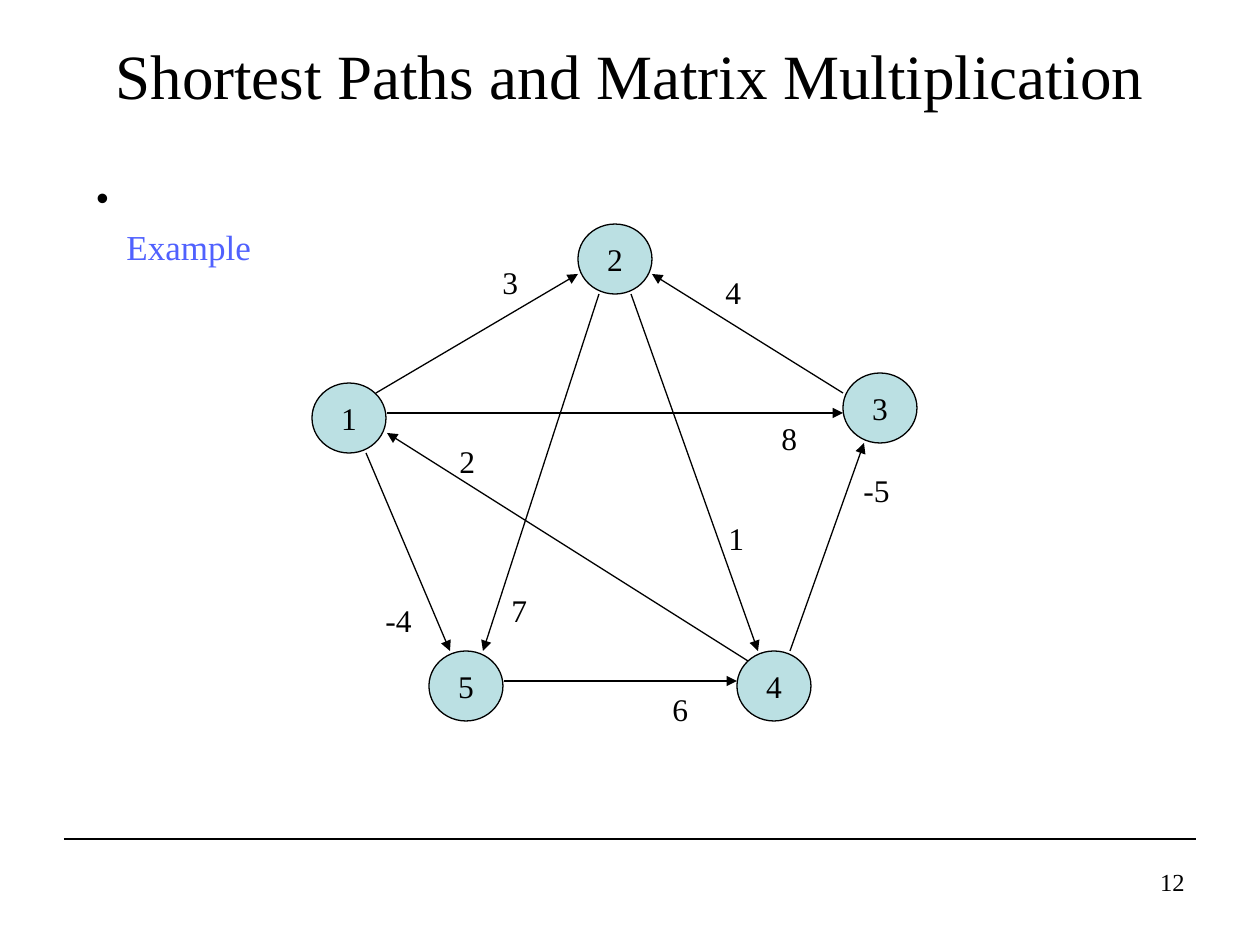
from pptx import Presentation, util as u
from pptx.dml.color import RGBColor
from pptx.enum import shapes, text
from pptx.oxml.ns import qn
from lxml import etree

SCALE = 914400 / 126
FONT = "Times New Roman"
BLACK = "000000"

NODES = {"1": (312, 383), "2": (578, 224), "3": (843, 373),
         "4": (737, 651), "5": (429, 651)}
EDGES = [(376, 393, 578, 274), (843, 393, 652, 274), (790, 651, 864, 443),
         (504, 681, 737, 681), (366, 453, 450, 651), (599, 294, 483, 651),
         (631, 294, 758, 651), (748, 661, 387, 433), (387, 413, 843, 413)]
COSTS = [("2", 447, 436), ("1", 716, 513), ("4", 713, 267),
         ("3", 490, 257), ("8", 769, 413), ("-5", 851, 465),
         ("-4", 373, 595), ("6", 660, 684), ("7", 499, 585)]


def px(*nums):
    return [u.Emu(round(n * SCALE)) for n in nums]


def tint(code):
    return RGBColor.from_string(code)


def style(para, size, hue=BLACK, align=text.PP_ALIGN.LEFT):
    para.alignment = align
    para.font.size = u.Pt(size)
    para.font.name = FONT
    para.font.color.rgb = tint(hue)


def label(slide, words, box, size, hue=BLACK, align=text.PP_ALIGN.LEFT,
          wrap=False, anchor=text.MSO_ANCHOR.TOP):
    frame = slide.shapes.add_textbox(*px(*box)).text_frame
    frame.word_wrap = wrap
    frame.vertical_anchor = anchor
    frame.text = words
    para = frame.paragraphs[0]
    style(para, size, hue, align)
    return para


def node(slide, name, left, top):
    oval = slide.shapes.add_shape(shapes.MSO_SHAPE.OVAL, *px(left, top, 74, 70))
    oval.shadow.inherit = False
    oval.fill.solid()
    oval.fill.fore_color.rgb = tint("BBE0E3")
    oval.line.color.rgb = tint(BLACK)
    oval.line.width = u.Pt(0.75)
    frame = oval.text_frame
    frame.word_wrap = False
    frame.vertical_anchor = text.MSO_ANCHOR.MIDDLE
    frame.text = name
    style(frame.paragraphs[0], 18, align=text.PP_ALIGN.CENTER)


def line(slide, ends, arrow=True):
    edge = slide.shapes.add_connector(shapes.MSO_CONNECTOR.STRAIGHT, *px(*ends))
    edge.line.color.rgb = tint(BLACK)
    edge.line.width = u.Pt(0.75)
    props = edge._element.spPr
    if arrow:
        etree.SubElement(props.find(qn("a:ln")), qn("a:tailEnd"), type="triangle")
    etree.SubElement(props, qn("a:effectLst"))


def bullet(para, indent):
    props = para._p.get_or_add_pPr()
    gap = px(indent)[0]
    props.set("marL", str(gap))
    props.set("indent", str(-gap))
    hue = etree.SubElement(props, qn("a:buClr"))
    etree.SubElement(hue, qn("a:srgbClr"), val=BLACK)
    etree.SubElement(props, qn("a:buFont"), typeface="Arial")
    etree.SubElement(props, qn("a:buChar"), char="•")


def main():
    deck = Presentation()
    deck.slide_width, deck.slide_height = px(1260, 945)
    slide = deck.slides.add_slide(deck.slide_layouts[6])
    line(slide, (64, 839, 1196, 839), arrow=False)
    label(slide, "Shortest Paths and Matrix Multiplication", (50, 45, 1160, 59),
          36, align=text.PP_ALIGN.CENTER, wrap=True,
          anchor=text.MSO_ANCHOR.MIDDLE)
    for name, spot in NODES.items():
        node(slide, name, *spot)
    for ends in EDGES:
        line(slide, ends)
    for cost, left, top in COSTS:
        label(slide, cost, (left, top, 52 if len(cost) > 1 else 40, 50), 18)
    para = label(slide, "\vExample", (84, 165, 181, 55), 20, "5061FE")
    para.line_spacing = 1.15
    bullet(para, 30)
    label(slide, "12", (903, 861, 294, 66), 14, align=text.PP_ALIGN.RIGHT,
          wrap=True)
    deck.save("out.pptx")


if __name__ == "__main__":
    main()
